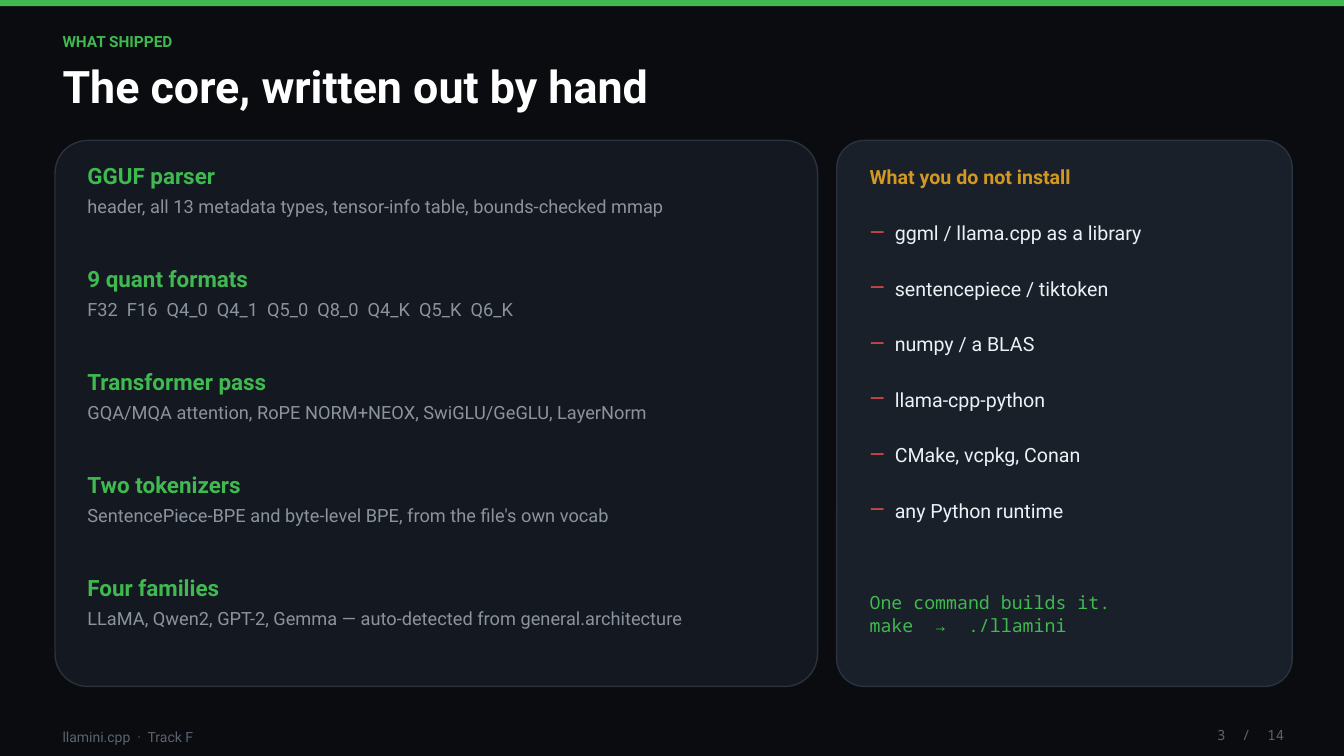
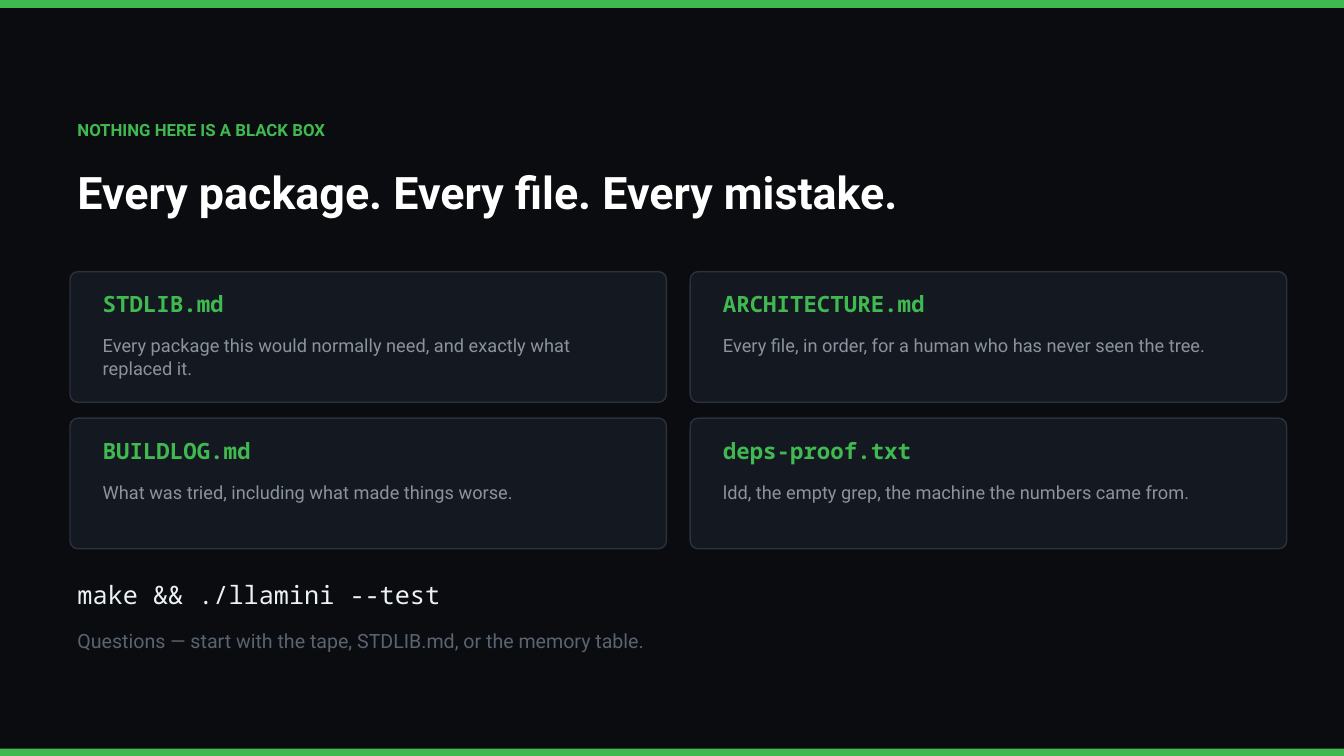
"""Build two dark slides: what the core contains, and the files that document it."""
from dataclasses import dataclass

from lxml.etree import SubElement
from pptx import Presentation
from pptx.dml.color import RGBColor
from pptx.enum.shapes import MSO_SHAPE
from pptx.enum.text import MSO_ANCHOR, MSO_AUTO_SIZE, PP_ALIGN
from pptx.oxml.ns import qn
from pptx.util import Pt


@dataclass(frozen=True)
class Theme:
    background: str = "0A0C10"
    panel: str = "141820"
    panel_light: str = "1A202A"
    border: str = "2A323E"
    green: str = "3FB950"
    amber: str = "D29922"
    red: str = "F85149"
    white: str = "FFFFFF"
    light: str = "ECF1F5"
    grey: str = "8B949E"
    dim: str = "5A6470"
    sans: str = "Roboto"
    mono: str = "Noto Sans Mono"
    title: float = 48
    command: float = 27
    heading: float = 24
    list_item: float = 21
    body: float = 19.5
    closing_label: float = 18
    label: float = 16.5
    footer: float = 15
    line_factor: float = 1.26


theme = Theme()


def write(slide, box, text, size, color, font=theme.sans, bold=False,
          align=PP_ALIGN.LEFT, shape=None):
    """Write styled text into a new text box or a given placeholder."""
    shape = shape or slide.shapes.add_textbox(0, 0, 0, 0)
    shape.left, shape.top, shape.width, shape.height = map(Pt, box)
    frame = shape.text_frame
    frame.word_wrap = True
    frame.auto_size = MSO_AUTO_SIZE.NONE
    frame.vertical_anchor = MSO_ANCHOR.TOP
    frame.margin_left = frame.margin_right = frame.margin_top = frame.margin_bottom = 0
    frame.text = text
    for paragraph in frame.paragraphs:
        paragraph.alignment = align
        paragraph.line_spacing = Pt(round(size * theme.line_factor, 1))
        for run in paragraph.runs:
            run.font.size = Pt(size)
            run.font.name = font
            run.font.bold = bold
            run.font.color.rgb = RGBColor.from_string(color)
    return frame


def add_panel(slide, box, fill, radius=0):
    """Draw a bordered rounded card, or a plain bar when the radius is zero."""
    kind = MSO_SHAPE.ROUNDED_RECTANGLE if radius else MSO_SHAPE.RECTANGLE
    shape = slide.shapes.add_shape(kind, *map(Pt, box))
    shape.shadow.inherit = False
    shape.fill.solid()
    shape.fill.fore_color.rgb = RGBColor.from_string(fill)
    if radius:
        shape.adjustments[0] = radius / min(box[2:])
        shape.line.color.rgb = RGBColor.from_string(theme.border)
        shape.line.width = Pt(1.5)
    else:
        shape.line.fill.background()


presentation = Presentation()
presentation.slide_width = Pt(1440)
presentation.slide_height = Pt(810)
master_fill = presentation.slide_master.background.fill
master_fill.solid()
master_fill.fore_color.rgb = RGBColor.from_string(theme.background)
title_only = presentation.slide_layouts[5]

core = presentation.slides.add_slide(title_only)
add_panel(core, (0, 0, 1440, 6.5), theme.green)
write(core, (67, 780, 634, 23), "llamini.cpp  ·  Track F", theme.footer, theme.dim)
write(core, (1239, 777, 137, 26), "3  /  14", theme.footer, theme.dim, theme.mono,
      align=PP_ALIGN.RIGHT)
write(core, (67, 33, 1282, 24), "WHAT SHIPPED", theme.label, theme.green, bold=True)
write(core, (67, 60.5, 1282, 70.5), "The core, written out by hand", theme.title,
      theme.white, bold=True, shape=core.shapes.title)

components = [
    ("GGUF parser", "header, all 13 metadata types, tensor-info table, bounds-checked mmap"),
    ("9 quant formats", "F32  F16  Q4_0  Q4_1  Q5_0  Q8_0  Q4_K  Q5_K  Q6_K"),
    ("Transformer pass", "GQA/MQA attention, RoPE NORM+NEOX, SwiGLU/GeGLU, LayerNorm"),
    ("Two tokenizers", "SentencePiece-BPE and byte-level BPE, from the file's own vocab"),
    ("Four families", "LLaMA, Qwen2, GPT-2, Gemma — auto-detected from general.architecture"),
]
add_panel(core, (59, 150.5, 817, 585), theme.panel, 35)
for row, (heading, detail) in enumerate(components):
    top = 172.8 + row * 110.3
    write(core, (93.6, top, 747, 32), heading, theme.heading, theme.green, bold=True)
    write(core, (93.6, top + 35.4, 747, 53), detail, theme.body, theme.grey)

add_panel(core, (896.5, 150.5, 488, 585), theme.panel_light, 29.5)
write(core, (931.7, 175.7, 428, 37), "What you do not install", theme.list_item,
      theme.amber, bold=True)
not_installed = [
    "ggml / llama.cpp as a library",
    "sentencepiece / tiktoken",
    "numpy / a BLAS",
    "llama-cpp-python",
    "CMake, vcpkg, Conan",
    "any Python runtime",
]
install_list = write(core, (931.7, 235.4, 423, 340), "\n".join(not_installed),
                     theme.list_item, theme.light)
for paragraph in install_list.paragraphs:
    paragraph.space_after = Pt(33)
    properties = paragraph._p.get_or_add_pPr()
    properties.set("marL", str(Pt(27)))
    properties.set("indent", str(-Pt(27)))
    bullet_color = SubElement(properties, qn("a:buClr"))
    SubElement(bullet_color, qn("a:srgbClr"), val=theme.red)
    SubElement(properties, qn("a:buFont"), typeface=theme.sans)
    SubElement(properties, qn("a:buChar"), char="—")
write(core, (931.7, 632, 423, 72), "One command builds it.\nmake  →  ./llamini",
      theme.body, theme.green, theme.mono)

closing = presentation.slides.add_slide(title_only)
for bar_top in (0, 802):
    add_panel(closing, (0, bar_top, 1440, 8.5), theme.green)
write(closing, (83, 127.5, 1282, 32), "NOTHING HERE IS A BLACK BOX",
      theme.closing_label, theme.green, bold=True)
write(closing, (83, 174, 1282, 92), "Every package. Every file. Every mistake.",
      theme.title, theme.white, bold=True, shape=closing.shapes.title)

documents = [
    ("STDLIB.md", "Every package this would normally need, and exactly what replaced it."),
    ("ARCHITECTURE.md", "Every file, in order, for a human who has never seen the tree."),
    ("BUILDLOG.md", "What was tried, including what made things worse."),
    ("deps-proof.txt", "ldd, the empty grep, the machine the numbers came from."),
]
for index, (file_name, purpose) in enumerate(documents):
    row, column = divmod(index, 2)
    left, top = 75 + column * 664.5, 291 + row * 157
    add_panel(closing, (left, top, 639, 140), theme.panel, 8.5)
    write(closing, (left + 35, top + 18.5, 569.5, 36), file_name, theme.heading,
          theme.green, theme.mono, bold=True)
    write(closing, (left + 35, top + 66, 569.5, 47.5), purpose, theme.body, theme.grey)

write(closing, (83, 619, 1282, 42), "make && ./llamini --test", theme.command,
      theme.light, theme.mono)
write(closing, (83, 673, 1282, 37),
      "Questions — start with the tape, STDLIB.md, or the memory table.",
      theme.list_item, theme.dim)

presentation.save("out.pptx")
